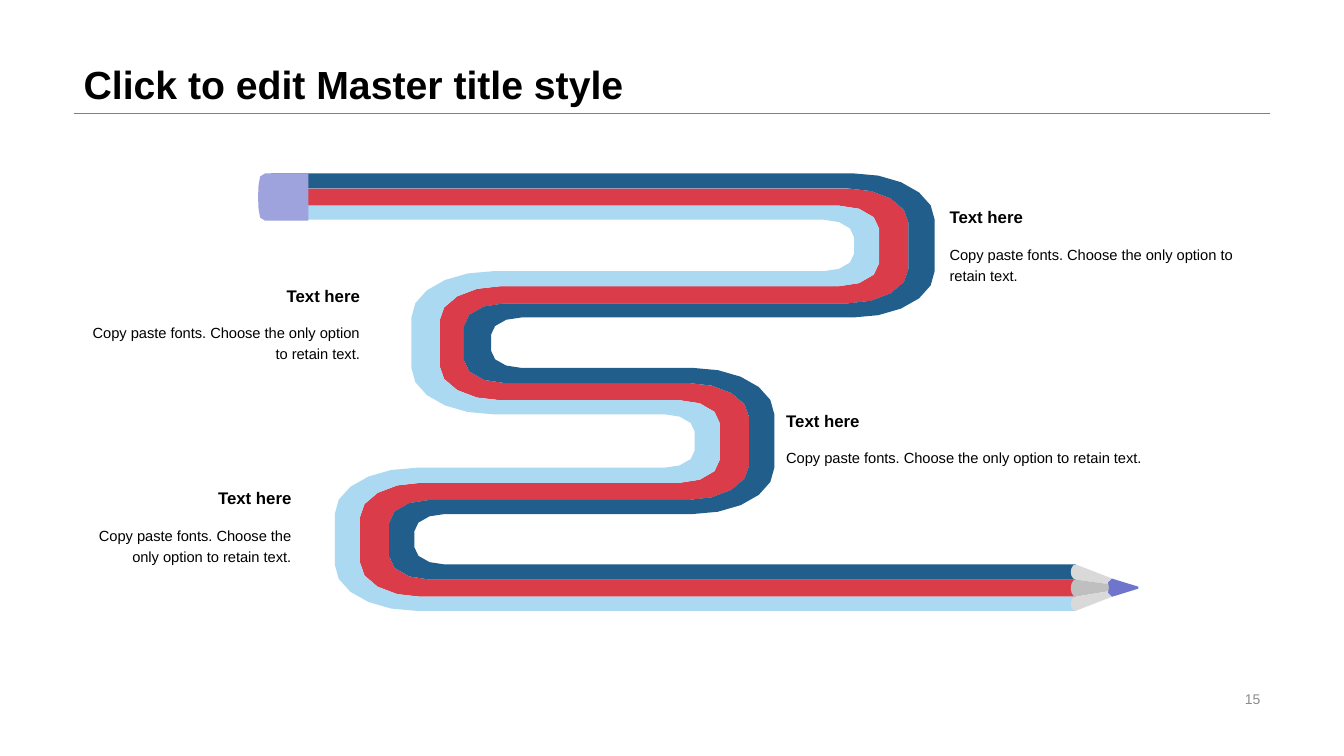
import math
import pptx
import pptx.util
import pptx.dml.color
import pptx.enum.shapes
import pptx.enum.text
import pptx.oxml

TITLE = "Click to edit Master title style"
HEADING = "Text here"
BODY = "Copy paste fonts. Choose the only option to retain text."
PAGE = "15"
FONT = "Arial"
LEFT, RIGHT, RULE = 0.73, 12.6, 1.12
NOTES = [
    (9.32, 1.95, 3.27, "LEFT"),
    (7.7, 3.97, 4.9, "LEFT"),
    (0.74, 2.73, 2.93, "RIGHT"),
    (0.74, 4.74, 2.25, "RIGHT"),
]

ROWS = [1.72, 2.69, 3.65, 4.64, 5.6]
START, END = 2.69, 10.67
EDGES = [0, 0.15, 0.32, 0.46]
ARCS = [(0.81, 0.46, 5), (0.6, 0.34, 4), (0.4, 0.23, 3), (0.3, 0.17, 3)]
TURNS = [
    (9.27, 9.01, 8.72, 8.47),
    (4.87, 4.6, 4.36, 4.08),
    (7.68, 7.43, 7.14, 6.89),
    (4.11, 3.86, 3.57, 3.32),
]
STRIPES = ["215E8B", "DA3C49", "ACD9F2"]
BULGE_STEPS = 6


def color(value):
    return pptx.dml.color.RGBColor.from_string(value)


def inches(*values):
    return [pptx.util.Inches(v) for v in values]


def edge_points(k):
    points = [(START, ROWS[0] + EDGES[k])]
    for t, apexes in enumerate(TURNS):
        side, rank = (1, k) if t % 2 == 0 else (-1, 3 - k)
        rx, ry, steps = ARCS[rank]
        y1 = ROWS[t] + EDGES[rank]
        y2 = ROWS[t + 1] + EDGES[3 - rank]
        cx = apexes[k] - side * rx
        for cy, first in ((y1 + ry, -90), (y2 - ry, 0)):
            for i in range(steps + 1):
                a = math.radians(first + 90 * i / steps)
                points.append((cx + side * rx * math.cos(a), cy + ry * math.sin(a)))
    return points + [(END, ROWS[-1] + EDGES[k])]


def bulge(x, y1, y2, depth, power):
    points = []
    for i in range(BULGE_STEPS + 1):
        a = math.pi * (0.5 - i / BULGE_STEPS)
        points.append((x - depth * max(0, math.cos(a)) ** power,
                       (y1 + y2) / 2 + (y2 - y1) / 2 * math.sin(a)))
    return points


def add_outline(s, points, fill):
    emu = [inches(*point) for point in points]
    builder = s.shapes.build_freeform(*emu[0])
    builder.add_line_segments(emu[1:], close=True)
    sp = builder.convert_to_shape()
    sp.shadow.inherit = False
    sp.fill.solid()
    sp.fill.fore_color.rgb = color(fill)
    sp.line.fill.background()


def write(sp, text, size, ink="000000", bold=False, align="LEFT", anchor="TOP", spacing=1.0):
    tf = sp.text_frame
    tf.text = text
    tf.word_wrap = True
    tf.auto_size = pptx.enum.text.MSO_AUTO_SIZE.NONE
    tf.vertical_anchor = pptx.enum.text.MSO_ANCHOR[anchor]
    p = tf.paragraphs[0]
    p.alignment = pptx.enum.text.PP_ALIGN[align]
    p.line_spacing = spacing
    font = p.runs[0].font
    font.name, font.size, font.bold = FONT, pptx.util.Pt(size), bold
    font.color.rgb = color(ink)


def add_pencil(s):
    edges = [edge_points(k) for k in range(4)]
    for k in (1, 0, 2):
        add_outline(s, edges[k] + edges[k + 1][::-1], STRIPES[k])

    top, bottom = ROWS[0], ROWS[0] + 0.47
    add_outline(s, bulge(2.63, top, bottom, 0.07, 0.5) + [(3.06, top), (3.06, bottom)], "9FA3DD")

    y = [ROWS[-1] + e for e in EDGES]
    wood = [
        (5.74, 5.8, "D9D9D9"),
        (5.8, 5.86, "BFBFBF"),
        (5.86, 5.92, "D9D9D9"),
    ]
    for k, (front_top, front_bottom, fill) in enumerate(wood):
        back = bulge(END, y[k], y[k + 1], 0.05, 1)
        add_outline(s, back + [(11.03, front_top), (11.03, front_bottom)], fill)
    add_outline(s, [(11.03, 5.74), (11.29, 5.82), (11.29, 5.84), (11.03, 5.92),
                    (10.99, 5.88), (11, 5.83), (10.99, 5.78)], "6F75CC")


def main():
    prs = pptx.Presentation()
    prs.slide_width, prs.slide_height = inches(13.33, 7.5)
    s = prs.slides.add_slide(prs.slide_layouts[5])

    rule = s.shapes.add_connector(pptx.enum.shapes.MSO_CONNECTOR.STRAIGHT,
                                  *inches(LEFT, RULE, RIGHT, RULE))
    rule.line.color.rgb = color("808080")
    rule.line.width = pptx.util.Pt(0.25)
    rule._element.spPr.append(pptx.oxml.parse_xml(
        '<a:effectLst xmlns:a="http://schemas.openxmlformats.org/drawingml/2006/main"/>'))

    title = s.shapes.title
    title.left, title.top, title.width, title.height = inches(LEFT, 0, RIGHT - LEFT, RULE)
    write(title, TITLE, 28, bold=True, anchor="BOTTOM", spacing=0.9)

    page = s.shapes.add_textbox(*inches(9.42, 6.82, 3.18, 0.23))
    write(page, PAGE, 10, ink="8C8C8C", align="RIGHT", anchor="MIDDLE")

    add_pencil(s)

    for x, y, width, align in NOTES:
        heading = s.shapes.add_textbox(*inches(x, y, width, 0.4))
        write(heading, HEADING, 12, bold=True, align=align, anchor="MIDDLE")
        body = s.shapes.add_textbox(*inches(x, y + 0.4, width, 0.78))
        write(body, BODY, 10.5, align=align, spacing=1.2)

    prs.save("out.pptx")


if __name__ == "__main__":
    main()
